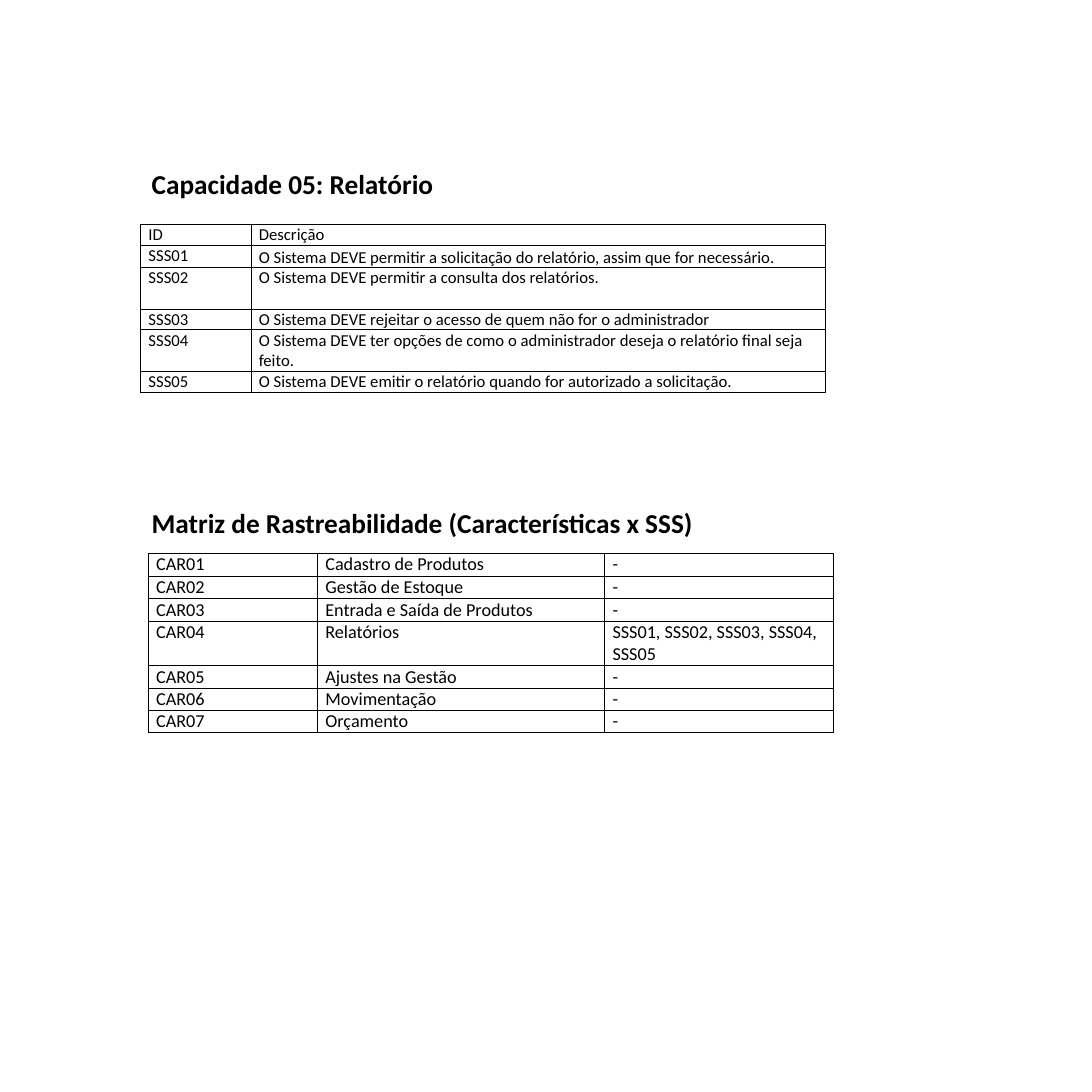
from lxml.etree import SubElement
from pptx import Presentation
from pptx.dml.color import RGBColor
from pptx.oxml.ns import qn
from pptx.util import Pt

EMU_PER_PX = 9144  # 100 px to the inch


def px(length):
    return length * EMU_PER_PX


def rgb(hex_color):
    return RGBColor.from_string(hex_color)


class SlideBuilder:
    font = "Calibri"
    ink = "000000"
    border_width = 0.75
    heading_size = 18
    heading_spacing = 1.08
    cell_margin = 7

    def __init__(self, slide):
        self.slide = slide

    def add_text(self, paragraph, text, size, bold=False):
        run = paragraph.add_run()
        run.text = text
        run.font.name = self.font
        run.font.size = Pt(size)
        run.font.bold = bold
        run.font.color.rgb = rgb(self.ink)

    def heading(self, text, left, top, width, height):
        box = self.slide.shapes.add_textbox(px(left), px(top), px(width), px(height))
        frame = box.text_frame
        frame.word_wrap = True
        frame.margin_left = frame.margin_right = px(10)
        frame.margin_top = frame.margin_bottom = px(10)
        paragraph = frame.paragraphs[0]
        paragraph.line_spacing = self.heading_spacing
        self.add_text(paragraph, text, self.heading_size, bold=True)

    def border(self, cell):
        properties = cell._tc.get_or_add_tcPr()
        for side in ("a:lnL", "a:lnR", "a:lnT", "a:lnB"):
            line = SubElement(properties, qn(side), w=str(Pt(self.border_width)))
            fill = SubElement(line, qn("a:solidFill"))
            SubElement(fill, qn("a:srgbClr"), val=self.ink)

    def table(self, rows, left, top, widths, heights, size):
        frame = self.slide.shapes.add_table(
            len(rows), len(widths), px(left), px(top), px(sum(widths)), px(sum(heights)))
        table = frame.table
        table.first_row = table.horz_banding = False
        for column, width in zip(table.columns, widths):
            column.width = px(width)
        for row, height, texts in zip(table.rows, heights, rows):
            row.height = px(height)
            for cell, text in zip(row.cells, texts):
                cell.margin_left = cell.margin_right = px(self.cell_margin)
                cell.margin_top = cell.margin_bottom = 0
                self.border(cell)
                cell.fill.background()
                self.add_text(cell.text_frame.paragraphs[0], text, size)
        return table


REQUIREMENTS = [
    ("ID", "Descrição"),
    ("SSS01", "O Sistema DEVE permitir a solicitação do relatório, assim que for necessário."),
    ("SSS02", "O Sistema DEVE permitir a consulta dos relatórios."),
    ("SSS03", "O Sistema DEVE rejeitar o acesso de quem não for o administrador"),
    ("SSS04", "O Sistema DEVE ter opções de como o administrador deseja o relatório final seja feito."),
    ("SSS05", "O Sistema DEVE emitir o relatório quando for autorizado a solicitação."),
]
FEATURES = [
    ("CAR01", "Cadastro de Produtos", "-"),
    ("CAR02", "Gestão de Estoque", "-"),
    ("CAR03", "Entrada e Saída de Produtos", "-"),
    ("CAR04", "Relatórios", "SSS01, SSS02, SSS03, SSS04, SSS05"),
    ("CAR05", "Ajustes na Gestão", "-"),
    ("CAR06", "Movimentação", "-"),
    ("CAR07", "Orçamento", "-"),
]


def main():
    presentation = Presentation()
    presentation.slide_width = presentation.slide_height = px(1000)
    slide = presentation.slides.add_slide(presentation.slide_layouts[6])
    builder = SlideBuilder(slide)

    requirements = builder.table(
        REQUIREMENTS, 129, 206, [101, 526], [18, 18, 38, 18, 38, 18], size=11)
    first_description = requirements.cell(1, 1).text_frame.paragraphs[0]
    first_description.line_spacing = builder.heading_spacing
    builder.table(
        FEATURES, 136, 507, [155, 263, 209], [21, 20, 20, 41, 20, 20, 20], size=12)

    builder.heading("Matriz de Rastreabilidade (Características x SSS)", 129, 451, 616, 53)
    builder.heading("Capacidade 05: Relatório", 129, 141, 641, 53)
    presentation.save("out.pptx")


if __name__ == "__main__":
    main()
